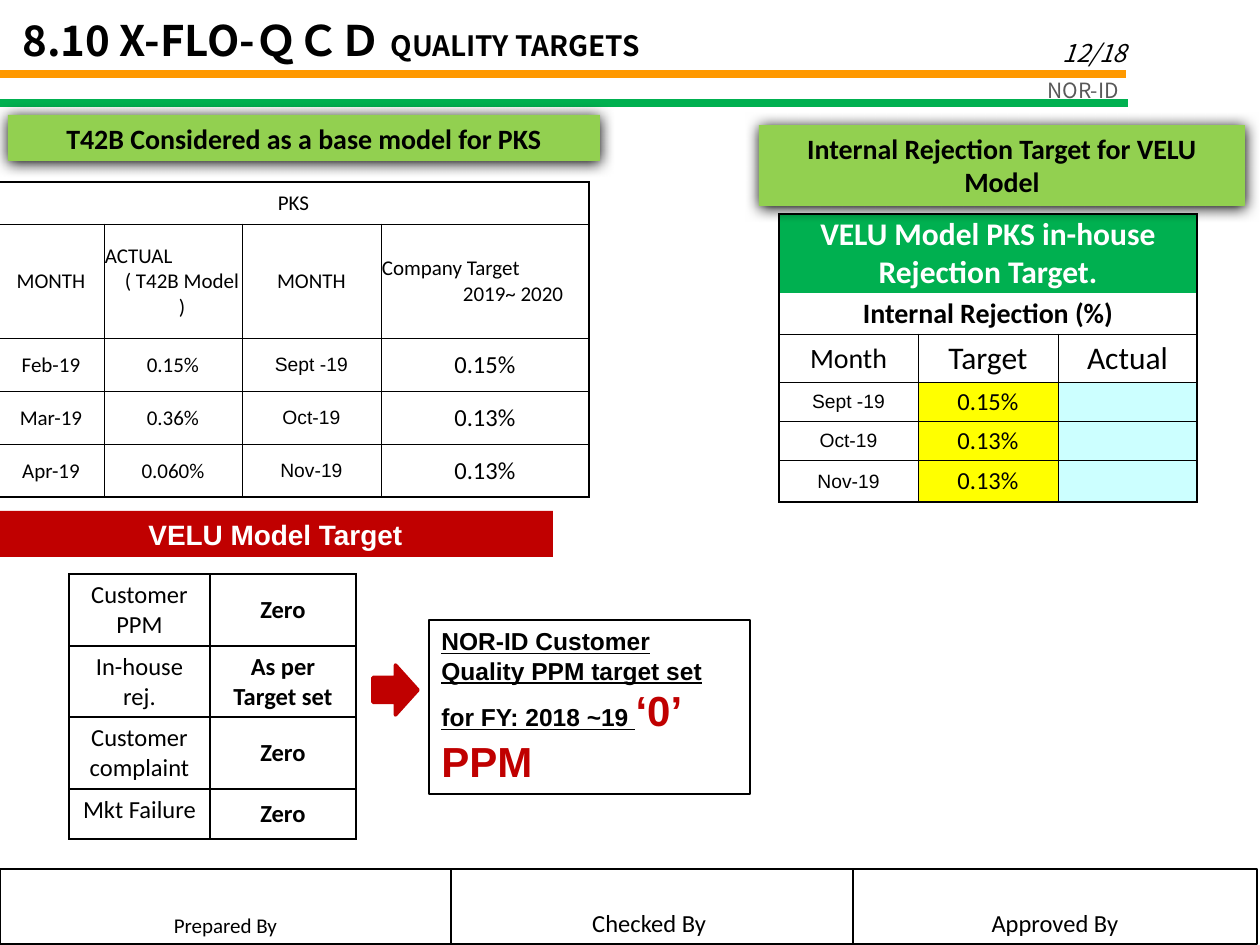
from collections import namedtuple
from lxml.etree import SubElement
from pptx import Presentation
from pptx.dml.color import RGBColor
from pptx.enum.shapes import MSO_CONNECTOR, MSO_SHAPE
from pptx.enum.text import MSO_ANCHOR, PP_ALIGN
from pptx.oxml.ns import qn
from pptx.util import Emu, Pt

BLACK = RGBColor(0, 0, 0)
WHITE = RGBColor(0xFF, 0xFF, 0xFF)
GREY = RGBColor(0x59, 0x59, 0x59)
ORANGE = RGBColor(0xFF, 0x99, 0x00)
GREEN = RGBColor(0x00, 0xB0, 0x50)
LIME = RGBColor(0x92, 0xD0, 0x50)
RED = RGBColor(0xC0, 0x00, 0x00)
YELLOW = RGBColor(0xFF, 0xFF, 0x00)
AQUA = RGBColor(0xCC, 0xFF, 0xFF)

NOTO = "Noto Sans CJK JP"
PLAIN_TABLE = "{2D5ABB26-0587-4C30-8999-92F81FD0307C}"
LEFT, CENTER, RIGHT = PP_ALIGN.LEFT, PP_ALIGN.CENTER, PP_ALIGN.RIGHT
TOP, MIDDLE, BOTTOM = MSO_ANCHOR.TOP, MSO_ANCHOR.MIDDLE, MSO_ANCHOR.BOTTOM

Style = namedtuple("Style", "size font bold color fill anchor",
                   defaults=("Calibri", False, BLACK, None, MIDDLE))


def px(n):
    return Emu(round(n * 914400 / 126))


def add_run(p, text, size, font="Calibri", color=BLACK, bold=False,
            italic=False, underline=False):
    r = p.add_run()
    r.text = text
    f = r.font
    f.size, f.name, f.bold = Pt(size), font, bold
    f.italic, f.underline = italic, underline
    f.color.rgb = color


def write(tf, runs, align=LEFT, anchor=TOP):
    tf.word_wrap = True
    tf.vertical_anchor = anchor
    p = tf.paragraphs[0]
    p.alignment = align
    for text, options in runs:
        add_run(p, text, **options)


def add_text(s, box, runs, align=LEFT, anchor=TOP):
    tb = s.shapes.add_textbox(*map(px, box))
    write(tb.text_frame, runs, align, anchor)


def add_box(s, box, runs=(), fill=None, line=None, width=1, align=CENTER,
            anchor=TOP, kind=MSO_SHAPE.RECTANGLE):
    sp = s.shapes.add_shape(kind, *map(px, box))
    sp.shadow.inherit = False
    if fill is None:
        sp.fill.background()
    else:
        sp.fill.solid()
        sp.fill.fore_color.rgb = fill
    if line is None:
        sp.line.fill.background()
    else:
        sp.line.color.rgb = line
        sp.line.width = Pt(width)
    write(sp.text_frame, runs, align, anchor)
    return sp


def add_banner(s, box, text):
    sp = add_box(s, box, [(text, dict(size=16, bold=True))], LIME)
    effects = sp._element.spPr.find(qn("a:effectLst"))
    shadow = SubElement(effects, qn("a:outerShdw"), blurRad=str(Pt(8.5)),
                        dist=str(Pt(1)), dir="5400000", rotWithShape="0")
    SubElement(shadow, qn("a:srgbClr"), val=str(BLACK))


def add_rule(s, x1, x2, y, color):
    c = s.shapes.add_connector(MSO_CONNECTOR.STRAIGHT, px(x1), px(y), px(x2), px(y))
    c.line.color.rgb = color
    c.line.width = Pt(4.5)
    SubElement(c._element.spPr, qn("a:effectLst"))


def set_borders(cell, widths):
    tcPr = cell._tc.get_or_add_tcPr()
    for side, width in zip("LRTB", widths):
        ln = SubElement(tcPr, qn("a:ln" + side), w=str(Pt(width)))
        if width:
            fill = SubElement(ln, qn("a:solidFill"))
            SubElement(fill, qn("a:srgbClr"), val=str(BLACK))
        else:
            SubElement(ln, qn("a:noFill"))


def fill_cell(cell, lines, style):
    """lines: one string, or a list of (text, alignment, left indent)."""
    if isinstance(lines, str):
        lines = [(lines, CENTER, 0)]
    cell.vertical_anchor = style.anchor
    tf = cell.text_frame
    for i, (text, align, indent) in enumerate(lines):
        p = tf.add_paragraph() if i else tf.paragraphs[0]
        p.alignment = align
        if indent:
            p._p.get_or_add_pPr().set("marL", str(px(indent)))
        if text:
            add_run(p, text, style.size, style.font, style.color, style.bold)
    if style.fill is None:
        cell.fill.background()
    else:
        cell.fill.solid()
        cell.fill.fore_color.rgb = style.fill


def add_grid(s, x, y, cols, rows, cells, margins=(1, 1, 1, 0), inner=0.5, open_row=None):
    """A row with one cell spans all columns; no line is drawn under open_row."""
    frame = s.shapes.add_table(len(rows), len(cols), px(x), px(y),
                               px(sum(cols)), px(sum(rows)))
    tbl = frame.table
    tbl.first_row = tbl.horz_banding = False
    frame._element.find(".//" + qn("a:tableStyleId")).text = PLAIN_TABLE
    for col, width in zip(tbl.columns, cols):
        col.width = px(width)
    for row, height in zip(tbl.rows, rows):
        row.height = px(height)
    for i, row in enumerate(cells):
        if len(row) == 1:
            tbl.cell(i, 0).merge(tbl.cell(i, len(cols) - 1))
        above = 1 if i == 0 else 0 if i - 1 == open_row else inner
        below = 1 if i == len(rows) - 1 else 0 if i == open_row else inner
        for j, (lines, style) in enumerate(row):
            cell = tbl.cell(i, j)
            (cell.margin_left, cell.margin_top,
             cell.margin_right, cell.margin_bottom) = map(px, margins)
            set_borders(cell, (inner if j else 1,
                               1 if j == len(row) - 1 else inner, above, below))
            fill_cell(cell, lines, style)


def add_header(s):
    add_text(s, (877, 11, 262, 63), [("12/18", dict(size=14, font=NOTO, italic=True))],
             RIGHT, BOTTOM)
    add_rule(s, -1, 1126, 74, ORANGE)
    add_rule(s, 0, 1128, 103, GREEN)
    add_text(s, (942, 71, 189, 38), [("NOR-ID", dict(size=12, font=NOTO, color=GREY))], RIGHT)
    add_text(s, (10, 8, 1119, 63),
             [("8.10 X-FLO-ＱＣＤ ", dict(size=24, font=NOTO, bold=True)),
              ("QUALITY TARGETS", dict(size=16, font=NOTO, bold=True))])


def add_tables(s):
    small, arial, value = Style(12), Style(11, "Arial"), Style(14)
    targets = [("Sept -19", "0.15%"), ("Oct-19", "0.13%"), ("Nov-19", "0.13%")]
    actuals = [("Feb-19", "0.15%"), ("Mar-19", "0.36%"), ("Apr-19", "0.060%")]

    # Customer targets
    label, goal = Style(14, anchor=TOP), Style(14, bold=True)
    goals = [("Customer PPM", "Zero"), ("In-house rej.", "As per Target set"),
             ("Customer complaint", "Zero"), ("Mkt Failure", "Zero")]
    add_grid(s, 69, 574, (141, 146), (72, 71, 72, 50),
             [[(name, label), (target, goal)] for name, target in goals],
             margins=(13, 6, 13, 6), inner=1)

    # In-house rejection targets
    title = Style(18, bold=True, color=WHITE, fill=GREEN)
    add_grid(s, 779, 214, (139, 140, 139), (79, 41, 48, 39, 39, 42),
             [[("VELU Model PKS in-house Rejection Target.", title)],
              [("Internal Rejection (%)", Style(16, bold=True))],
              [("Month", Style(16)), ("Target", Style(18)), ("Actual", Style(18))]]
             + [[(month, arial), (target, Style(14, fill=YELLOW)), ("", Style(14, fill=AQUA))]
                for month, target in targets], open_row=0)

    # Base model results
    actual_head = [("ACTUAL", LEFT, 0), ("( T42B Model )", CENTER, 18)]
    target_head = [("Company Target", LEFT, 0), ("2019~ 2020", LEFT, 81)]
    add_grid(s, -2, 182, (106, 138, 139, 208), (42, 114, 53, 53, 53),
             [[("PKS", small)],
              [(head, small) for head in ("MONTH", actual_head, "MONTH", target_head)]]
             + [[(past, small), (actual, small), (month, arial), (target, value)]
                for (past, actual), (month, target) in zip(actuals, targets)])


def add_target_note(s):
    add_box(s, (-2, 511, 555, 46),
            [("VELU Model Target", dict(size=16, font="Arial", color=WHITE, bold=True))], RED)
    add_box(s, (373, 665, 45, 50), fill=RED, line=RED, width=2, kind=MSO_SHAPE.RIGHT_ARROW)
    add_box(s, (429, 620, 321, 174),
            [("NOR-ID Customer Quality PPM target set for FY: 2018 ~19 ",
              dict(size=14, font="Arial", bold=True, underline=True)),
             ("‘0’ PPM", dict(size=24, font="Arial", color=RED, bold=True))],
            line=BLACK, width=1.5, align=LEFT)


def add_signatures(s):
    edges = (0, 451, 853, 1257)
    signers = [("Prepared By", 12), ("Checked By ", 14), ("Approved By", 14)]
    for left, right, (text, size) in zip(edges, edges[1:], signers):
        add_box(s, (left, 869, right - left, 75), [(text, dict(size=size))],
                line=BLACK, width=0.75, anchor=BOTTOM)


def main():
    prs = Presentation()
    prs.slide_width, prs.slide_height = px(1260), px(945)
    s = prs.slides.add_slide(prs.slide_layouts[6])
    add_header(s)
    add_tables(s)
    add_target_note(s)
    add_banner(s, (759, 125, 486, 81), "Internal Rejection Target for VELU Model")
    add_banner(s, (8, 115, 592, 46), "T42B Considered as a base model for PKS")
    add_signatures(s)
    prs.save("out.pptx")


main()
